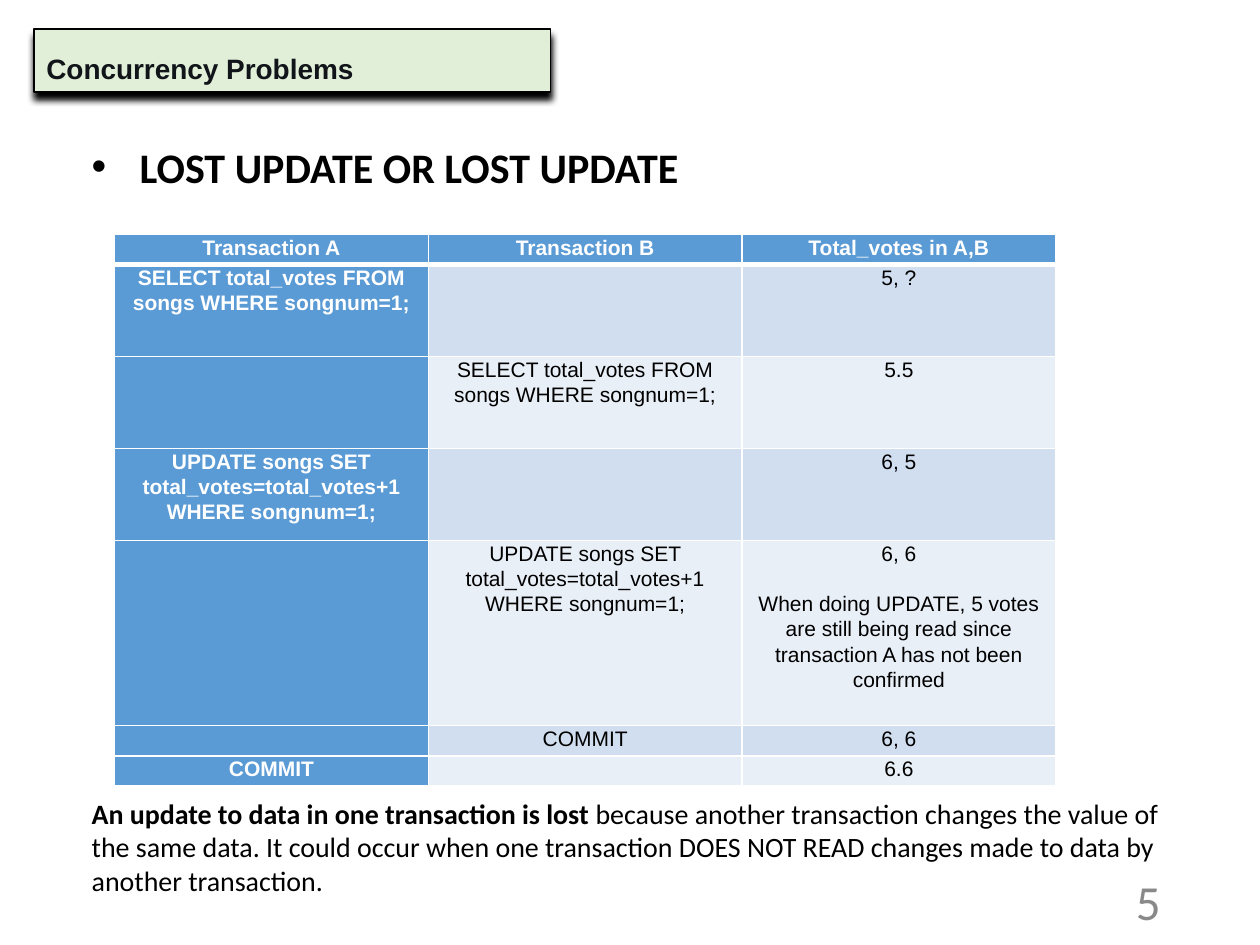
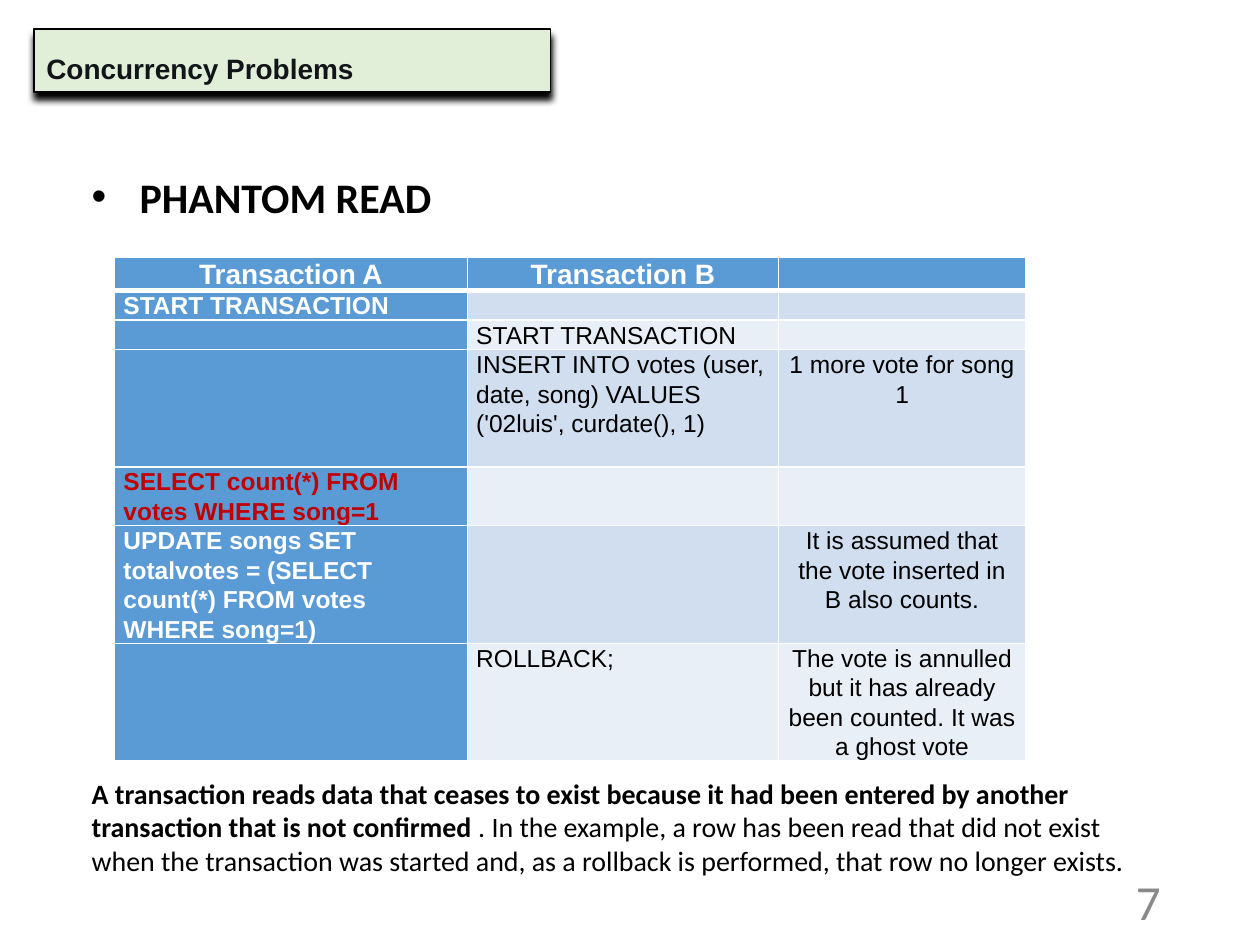
import dataclasses
import typing

import lxml.etree
import pptx
import pptx.dml.color
import pptx.enum.shapes
import pptx.enum.text
import pptx.oxml
import pptx.oxml.ns
import pptx.util

Inches = pptx.util.Inches
Pt = pptx.util.Pt
ALIGN = pptx.enum.text.PP_ALIGN
ANCHOR = pptx.enum.text.MSO_ANCHOR

# Shared colours and formats
BLACK, WHITE, RED, GREY = "000000", "FFFFFF", "C00000", "898989"
BAND_FILL, BAND_TEXT = "E1EFD8", "11151A"
KEY_FILL, ROW_FILLS = "5B9BD5", ("D0DEEF", "E9EFF7")
INSETS = dict(margin_left=Inches(0.1), margin_right=Inches(0.1),
              margin_top=Inches(0.05), margin_bottom=Inches(0.05))
CELL_INSETS = dict(margin_left=Inches(0.07), margin_right=Inches(0.07),
                   margin_top=0, margin_bottom=0, vertical_anchor=ANCHOR.TOP)
TABLE_LEFT = 0.91
CELL_LEADING = 1.2  # exact line height per point of text


@dataclasses.dataclass
class Schedule:
    """Steps of two transactions, with a header row first."""
    top: float
    widths: list[float]
    heights: list[float]
    header_size: int
    body_size: int
    centred: set[int]
    rows: list[list[str]]
    red: set[tuple[int, int]] = dataclasses.field(default_factory=set)


@dataclasses.dataclass
class Problem:
    number: int
    heading: str
    heading_top: float
    schedule: Schedule
    note_top: float
    note_lead: str
    note_rest: str


def rgb(color: str) -> pptx.dml.color.RGBColor:
    return pptx.dml.color.RGBColor.from_string(color)


def apply(target: typing.Any, values: dict) -> None:
    for name, value in values.items():
        setattr(target, name, value)


def make(parent: typing.Any, tag: str, **attrs: typing.Any) -> typing.Any:
    el = lxml.etree.SubElement(parent, pptx.oxml.ns.qn(tag))
    for name, value in attrs.items():
        el.set(name, str(value))
    return el


def add_run(p: typing.Any, text: str, size: int, color: str = BLACK,
            bold: bool = False, font: str = "Calibri") -> None:
    r = p.add_run()
    r.text = text
    apply(r.font, dict(size=Pt(size), bold=bold, name=font))
    r.font.color.rgb = rgb(color)


def add_text(slide: typing.Any, left: float, top: float, width: float,
             height: float, anchor: typing.Any = ANCHOR.TOP) -> typing.Any:
    """Add a wrapped text box and return its first paragraph."""
    tf = slide.shapes.add_textbox(Inches(left), Inches(top), Inches(width),
                                  Inches(height)).text_frame
    apply(tf, dict(INSETS, word_wrap=True, vertical_anchor=anchor))
    return tf.paragraphs[0]


def set_indent(p: typing.Any, size: float) -> typing.Any:
    pPr = p._p.get_or_add_pPr()
    pPr.set("marL", str(Inches(size)))
    pPr.set("indent", str(-Inches(size)))
    return pPr


def add_band(slide: typing.Any, title: str) -> None:
    sp = slide.shapes.add_shape(pptx.enum.shapes.MSO_SHAPE.RECTANGLE, Inches(0.27),
                                Inches(0.23), Inches(4.1), Inches(0.5))
    sp.fill.solid()
    sp.fill.fore_color.rgb = rgb(BAND_FILL)
    sp.line.color.rgb = rgb(BLACK)
    sp.line.width = Pt(0.75)
    sp.shadow.inherit = False
    effects = sp._element.spPr.find(pptx.oxml.ns.qn("a:effectLst"))
    shadow = make(effects, "a:outerShdw", blurRad=Pt(4), dist=Pt(4),
                  dir=90 * 60000, algn="t", rotWithShape=0)
    make(shadow, "a:srgbClr", val=BLACK)
    tf = sp.text_frame
    apply(tf, dict(INSETS, word_wrap=True, vertical_anchor=ANCHOR.TOP))
    p = tf.paragraphs[0]
    apply(p, dict(alignment=ALIGN.LEFT, line_spacing=1.5))
    set_indent(p, 0.5)
    add_run(p, title, 16, BAND_TEXT, True, "Arial")


def add_heading(slide: typing.Any, text: str, top: float) -> None:
    p = add_text(slide, 0.63, top, 8.74, 0.51)
    pPr = set_indent(p, 0.38)
    make(make(pPr, "a:buClr"), "a:srgbClr", val=BLACK)
    make(pPr, "a:buFont", typeface="Arial")
    make(pPr, "a:buChar", char="•")
    add_run(p, text, 24, bold=True)


def set_borders(cell: typing.Any, row: int) -> None:
    """White borders, thicker between header and body."""
    widths = dict(L=1, R=1, T=3 if row == 1 else 1, B=3 if row == 0 else 1)
    tcPr = cell._tc.get_or_add_tcPr()
    for i, (side, width) in enumerate(widths.items()):
        ln = make(tcPr, f"a:ln{side}", w=Pt(width))
        make(make(ln, "a:solidFill"), "a:srgbClr", val=WHITE)
        tcPr.insert(i, ln)


def fill_cell(cell: typing.Any, s: Schedule, row: int, col: int) -> None:
    key = row == 0 or col == 0
    size = s.body_size if row else s.header_size
    color = RED if (row, col) in s.red else WHITE if key else BLACK
    leading = Pt(size * CELL_LEADING)
    apply(cell, CELL_INSETS)
    cell.fill.solid()
    cell.fill.fore_color.rgb = rgb(KEY_FILL if key else ROW_FILLS[(row - 1) % 2])
    set_borders(cell, row)
    tf = cell.text_frame
    for i, text in enumerate(s.rows[row][col].split("\n")):
        p = tf.add_paragraph() if i else tf.paragraphs[0]
        centred = row == 0 or col in s.centred
        apply(p, dict(alignment=ALIGN.CENTER if centred else ALIGN.LEFT,
                      line_spacing=leading, space_before=leading if i else Pt(0)))
        if text:
            add_run(p, text, size, color, key, "Arial")
        else:
            make(p._p, "a:endParaRPr", sz=size * 100)


def add_schedule(slide: typing.Any, s: Schedule) -> None:
    table = slide.shapes.add_table(
        len(s.heights), len(s.widths), Inches(TABLE_LEFT), Inches(s.top),
        Inches(sum(s.widths)), Inches(sum(s.heights))).table
    for column, width in zip(table.columns, s.widths):
        column.width = Inches(width)
    for row, height in enumerate(s.heights):
        table.rows[row].height = Inches(height)
        for col in range(len(s.widths)):
            fill_cell(table.cell(row, col), s, row, col)


def add_problem(prs: typing.Any, problem: Problem) -> None:
    slide = prs.slides.add_slide(prs.slide_layouts[6])
    add_band(slide, "Concurrency Problems")
    add_heading(slide, problem.heading, problem.heading_top)
    add_schedule(slide, problem.schedule)
    # Explanation under the table
    p = add_text(slide, 0.63, problem.note_top, 8.74, 0.92)
    add_run(p, problem.note_lead, 16, bold=True)
    add_run(p, problem.note_rest, 16)
    # Page number
    p = add_text(slide, 7.06, 6.95, 2.25, 0.4, ANCHOR.MIDDLE)
    p.alignment = ALIGN.RIGHT
    add_run(p, str(problem.number), 28, GREY)


SELECT_VOTES = "SELECT total_votes FROM songs WHERE songnum=1;"
UPDATE_VOTES = "UPDATE songs SET total_votes=total_votes+1 WHERE songnum=1;"

LOST_UPDATE = Problem(
    5, "LOST UPDATE OR LOST UPDATE", 1.07,
    Schedule(
        1.86, [2.49] * 3, [0.24, 0.73, 0.73, 0.73, 1.47, 0.24, 0.24], 12, 12, {0, 1, 2},
        [["Transaction A", "Transaction B", "Total_votes in A,B"],
         [SELECT_VOTES, "", "5, ?"],
         ["", SELECT_VOTES, "5.5"],
         [UPDATE_VOTES, "", "6, 5"],
         ["", UPDATE_VOTES, "6, 6\nWhen doing UPDATE, 5 votes are still being read "
          "since transaction A has not been confirmed"],
         ["", "COMMIT", "6, 6"],
         ["COMMIT", "", "6.6"]]),
    6.27, "An update to data in one transaction is lost ",
    "because another transaction changes the value of the same data. It could occur "
    "when one transaction DOES NOT READ changes made to data by another transaction.")

PHANTOM_READ = Problem(
    7, "PHANTOM READ", 1.31,
    Schedule(
        2.04, [2.8, 2.47, 1.96], [0.26, 0.23, 0.23, 0.93, 0.46, 0.93, 0.93], 16, 14, {2},
        [["Transaction A", "Transaction B", ""],
         ["START TRANSACTION", "", ""],
         ["", "START TRANSACTION", ""],
         ["", "INSERT INTO votes (user, date, song) VALUES ('02luis', curdate(), 1)",
          "1 more vote for song 1"],
         ["SELECT count(*) FROM votes WHERE song=1", "", ""],
         ["UPDATE songs SET totalvotes = (SELECT count(*) FROM votes WHERE song=1)", "",
          "It is assumed that the vote inserted in B also counts."],
         ["", "ROLLBACK;", "The vote is annulled but it has already been counted. "
          "It was a ghost vote"]],
        red={(4, 0)}),
    6.11, "A transaction reads data that ceases to exist because it had been entered by "
    "another transaction that is not confirmed ",
    ". In the example, a row has been read that did not exist when the transaction was "
    "started and, as a rollback is performed, that row no longer exists.")


def main() -> None:
    prs = pptx.Presentation()
    apply(prs, dict(slide_width=Inches(10), slide_height=Inches(7.5)))
    for problem in (LOST_UPDATE, PHANTOM_READ):
        add_problem(prs, problem)
    prs.save("out.pptx")


if __name__ == "__main__":
    main()
